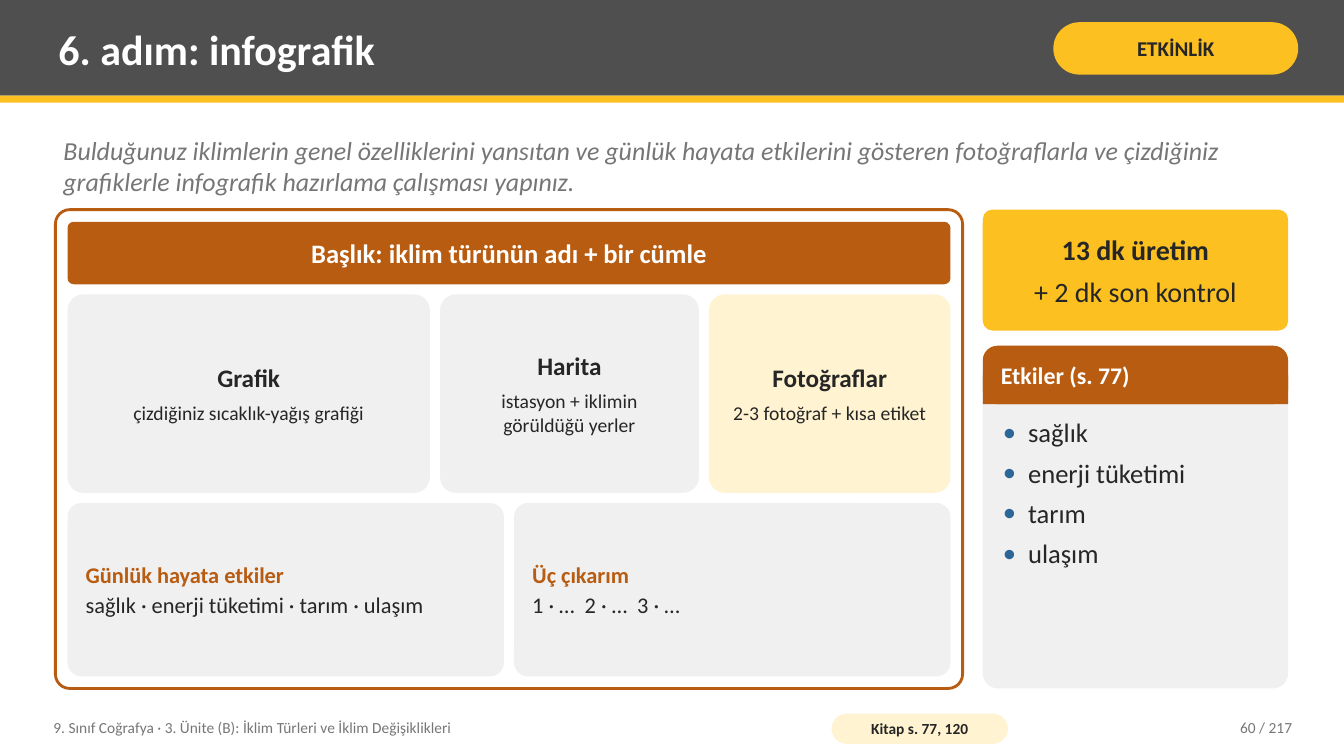
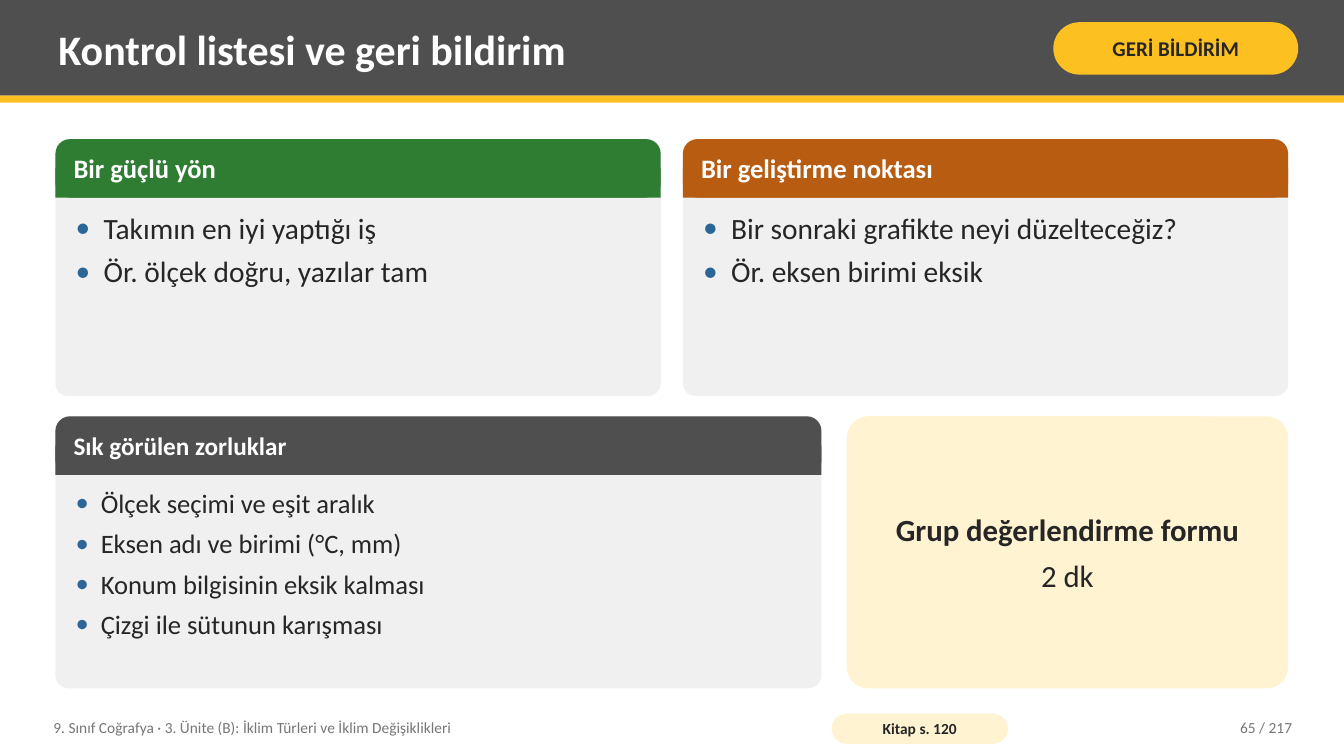
from dataclasses import dataclass

from lxml import etree
from pptx import Presentation
from pptx.dml.color import RGBColor
from pptx.enum.shapes import MSO_SHAPE
from pptx.enum.text import MSO_ANCHOR, PP_ALIGN
from pptx.oxml.ns import qn
from pptx.util import Pt

RECTANGLE, ROUNDED = MSO_SHAPE.RECTANGLE, MSO_SHAPE.ROUNDED_RECTANGLE
TOP, MIDDLE = MSO_ANCHOR.TOP, MSO_ANCHOR.MIDDLE
LEFT, CENTER, RIGHT = PP_ALIGN.LEFT, PP_ALIGN.CENTER, PP_ALIGN.RIGHT

FONT = "Calibri"
WHITE, INK, GRAY, MUTED = "FFFFFF", "262626", "4F4F4F", "767676"
YELLOW, CREAM, PALE = "FCC021", "FFF3D1", "F0F0F0"
RUST, GREEN, BLUE = "B85C12", "2E7D32", "2C6696"

SLIDE_WIDTH, SLIDE_HEIGHT = 960, 540
MARGIN, CONTENT_WIDTH, CONTENT_BOTTOM = 39.6, 880.56, 491.76
TEXT_INSETS, CARD_INSETS = (5.76, 2.88), (10.08, 5.76)
FOOTER = "9. Sınıf Coğrafya · 3. Ünite (B): İklim Türleri ve İklim Değişiklikleri"
PAGE_COUNT = 217


def rgb(value):
    """Turn a hex string into a colour."""
    return RGBColor.from_string(value)


def split(left, width, gap, shares):
    """Return the left and width of each column in a row."""
    usable = width - gap * (len(shares) - 1)
    columns = []
    for share in shares:
        columns.append((left, usable * share))
        left += usable * share + gap
    return columns


@dataclass
class Line:
    """One paragraph of text and its look."""

    text: str
    size: float
    color: str = INK
    bold: bool = False
    italic: bool = False


class Deck:
    """Holds the shared style and the current slide."""

    def __init__(self):
        """Start a presentation with the slide size."""
        self.presentation = Presentation()
        self.presentation.slide_width = Pt(SLIDE_WIDTH)
        self.presentation.slide_height = Pt(SLIDE_HEIGHT)
        self.slide = None

    def start_slide(self, title, tag, source, page):
        """Add a slide with its title band, tag and footer."""
        self.slide = self.presentation.slides.add_slide(self.presentation.slide_layouts[6])
        self.box(0, 0, SLIDE_WIDTH, 68.4, GRAY)
        self.box(0, 68.4, SLIDE_WIDTH, 5.04, YELLOW)
        self.text(36, 5.04, 702, 59.04, [Line(title, 30, WHITE, True)])
        self.pill(752.4, 15.84, 174.96, 37.44, YELLOW, Line(tag, 15, bold=True))
        self.text(32.4, 506.88, 547.2, 25.92, [Line(FOOTER, 11, MUTED)])
        self.pill(594, 509.76, 126, 21.6, CREAM, Line(source, 11, bold=True))
        self.text(813.6, 506.88, 115.2, 25.92,
                  [Line(f"{page} / {PAGE_COUNT}", 11, MUTED)], align=RIGHT)

    def box(self, left, top, width, height, fill, radius=None, outline=None):
        """Add a plain or rounded rectangle."""
        shape = self.slide.shapes.add_shape(
            RECTANGLE if radius is None else ROUNDED,
            Pt(left), Pt(top), Pt(width), Pt(height))
        if radius is not None:
            shape.adjustments[0] = radius
        shape.shadow.inherit = False
        shape.fill.solid()
        shape.fill.fore_color.rgb = rgb(fill)
        if outline:
            shape.line.color.rgb = rgb(outline)
            shape.line.width = Pt(2)
        else:
            shape.line.fill.background()
        return shape

    def set_lines(self, shape, lines, align, anchor=MIDDLE, insets=TEXT_INSETS, space=0):
        """Fill a shape with formatted lines."""
        frame = shape.text_frame
        frame.word_wrap = True
        frame.vertical_anchor = anchor
        frame.margin_left = frame.margin_right = Pt(insets[0])
        frame.margin_top = frame.margin_bottom = Pt(insets[1])
        frame.text = "\n".join(line.text for line in lines)
        for paragraph, line in zip(frame.paragraphs, lines):
            paragraph.alignment = align
            if space and line is not lines[-1]:
                paragraph.space_after = Pt(space)
            for run in paragraph.runs:
                run.font.name = FONT
                run.font.size = Pt(line.size)
                run.font.bold = line.bold
                run.font.italic = line.italic
                run.font.color.rgb = rgb(line.color)

    def text(self, left, top, width, height, lines, align=LEFT, anchor=MIDDLE, space=0):
        """Add a text box."""
        shape = self.slide.shapes.add_textbox(Pt(left), Pt(top), Pt(width), Pt(height))
        self.set_lines(shape, lines, align, anchor, space=space)
        return shape

    def pill(self, left, top, width, height, fill, line):
        """Add a label with fully round ends."""
        shape = self.box(left, top, width, height, fill, 0.5)
        self.set_lines(shape, [line], CENTER, insets=(2.88, 0))

    def card(self, left, top, width, height, fill, lines, align=CENTER, radius=0.08, space=6):
        """Add a rounded card with text."""
        shape = self.box(left, top, width, height, fill, radius)
        self.set_lines(shape, lines, align, insets=CARD_INSETS, space=space)

    def bullets(self, left, top, width, height, items, size):
        """Add a bulleted list."""
        shape = self.text(left, top, width, height, [Line(item, size) for item in items],
                          anchor=TOP, space=6)
        indent = Pt(round(size * 0.95))
        for paragraph in shape.text_frame.paragraphs:
            properties = paragraph._p.get_or_add_pPr()
            properties.set("marL", str(indent))
            properties.set("indent", str(-indent))
            color = etree.SubElement(properties, qn("a:buClr"))
            etree.SubElement(color, qn("a:srgbClr"), val=BLUE)
            etree.SubElement(properties, qn("a:buFont"), typeface=FONT)
            etree.SubElement(properties, qn("a:buChar"), char="•")

    def panel(self, left, top, width, height, color, heading, items, size):
        """Add a panel with a coloured heading and a list."""
        heading_height = 41.76
        self.box(left, top, width, height, PALE, 0.05)
        self.box(left, top, width, heading_height, color, 0.25)
        self.box(left, top + heading_height / 2, width, heading_height / 2, color)
        self.text(left + 7.2, top, width - 14.4, heading_height, [heading])
        self.bullets(left + 8.64, top + 47.52, width - 17.28, height - 53.28, items, size)


def infographic_slide(deck):
    """Build the infographic plan."""
    deck.start_slide("6. adım: infografik", "ETKİNLİK", "Kitap s. 77, 120", 60)
    instruction = (
        "Bulduğunuz iklimlerin genel özelliklerini yansıtan ve günlük hayata etkilerini "
        "gösteren fotoğraflarla ve çizdiğiniz grafiklerle infografik hazırlama çalışması yapınız.")
    deck.text(MARGIN, 92.16, CONTENT_WIDTH, 51.84, [Line(instruction, 18.5, MUTED, italic=True)])

    board_top, board_width, padding, gap = 149.76, 648, 8.64, 7.2
    deck.box(MARGIN, board_top, board_width, CONTENT_BOTTOM - board_top, WHITE, 0.03, RUST)
    left, width = MARGIN + padding, board_width - 2 * padding
    top, title_height, middle_height = board_top + padding, 44.64, 141.84
    deck.card(left, top, width, title_height, RUST,
              [Line("Başlık: iklim türünün adı + bir cümle", 19, WHITE, True)], radius=0.1)

    top += title_height + gap
    visuals = [
        ("Grafik", "çizdiğiniz sıcaklık-yağış grafiği", PALE),
        ("Harita", "istasyon + iklimin görüldüğü yerler", PALE),
        ("Fotoğraflar", "2-3 fotoğraf + kısa etiket", CREAM),
    ]
    columns = split(left, width, gap, [0.42, 0.3, 0.28])
    for (column, column_width), (name, detail, fill) in zip(columns, visuals):
        deck.card(column, top, column_width, middle_height, fill,
                  [Line(name, 18, bold=True), Line(detail, 14)])

    top += middle_height + gap
    notes = [
        ("Günlük hayata etkiler", "sağlık · enerji tüketimi · tarım · ulaşım"),
        ("Üç çıkarım", "1 · …  2 · …  3 · …"),
    ]
    columns = split(left, width, gap, [0.5, 0.5])
    for (column, column_width), (name, detail) in zip(columns, notes):
        deck.card(column, top, column_width, CONTENT_BOTTOM - padding - top, PALE,
                  [Line(name, 16, RUST, True), Line(detail, 16)], LEFT, space=2)

    side_left, side_width, effects_top = 702, 218.16, 246.96
    deck.card(side_left, board_top, side_width, 86.4, YELLOW,
              [Line("13 dk üretim", 20, bold=True), Line("+ 2 dk son kontrol", 20)])
    deck.panel(side_left, effects_top, side_width, CONTENT_BOTTOM - effects_top, RUST,
               Line("Etkiler (s. 77)", 17, WHITE, True),
               ["sağlık", "enerji tüketimi", "tarım", "ulaşım"], 19)


def feedback_slide(deck):
    """Build the checklist and feedback panels."""
    deck.start_slide("Kontrol listesi ve geri bildirim", "GERİ BİLDİRİM", "Kitap s. 120", 65)
    panels = [
        ("Bir güçlü yön", GREEN,
         ["Takımın en iyi yaptığı iş", "Ör. ölçek doğru, yazılar tam"]),
        ("Bir geliştirme noktası", RUST,
         ["Bir sonraki grafikte neyi düzelteceğiz?", "Ör. eksen birimi eksik"]),
    ]
    columns = split(MARGIN, CONTENT_WIDTH, 15.84, [0.5, 0.5])
    for (left, width), (heading, color, items) in zip(columns, panels):
        deck.panel(left, 99.36, width, 183.6, color, Line(heading, 19, WHITE, True), items, 21)

    top, difficulties_width, gap = 297.36, 547.2, 18
    height = CONTENT_BOTTOM - top
    deck.panel(MARGIN, top, difficulties_width, height, GRAY,
               Line("Sık görülen zorluklar", 18, WHITE, True),
               ["Ölçek seçimi ve eşit aralık", "Eksen adı ve birimi (°C, mm)",
                "Konum bilgisinin eksik kalması", "Çizgi ile sütunun karışması"], 19)
    deck.card(MARGIN + difficulties_width + gap, top,
              CONTENT_WIDTH - difficulties_width - gap, height, CREAM,
              [Line("Grup değerlendirme formu", 22, bold=True), Line("2 dk", 22)])


def main():
    """Build and save the presentation."""
    deck = Deck()
    infographic_slide(deck)
    feedback_slide(deck)
    deck.presentation.save("out.pptx")


if __name__ == "__main__":
    main()
